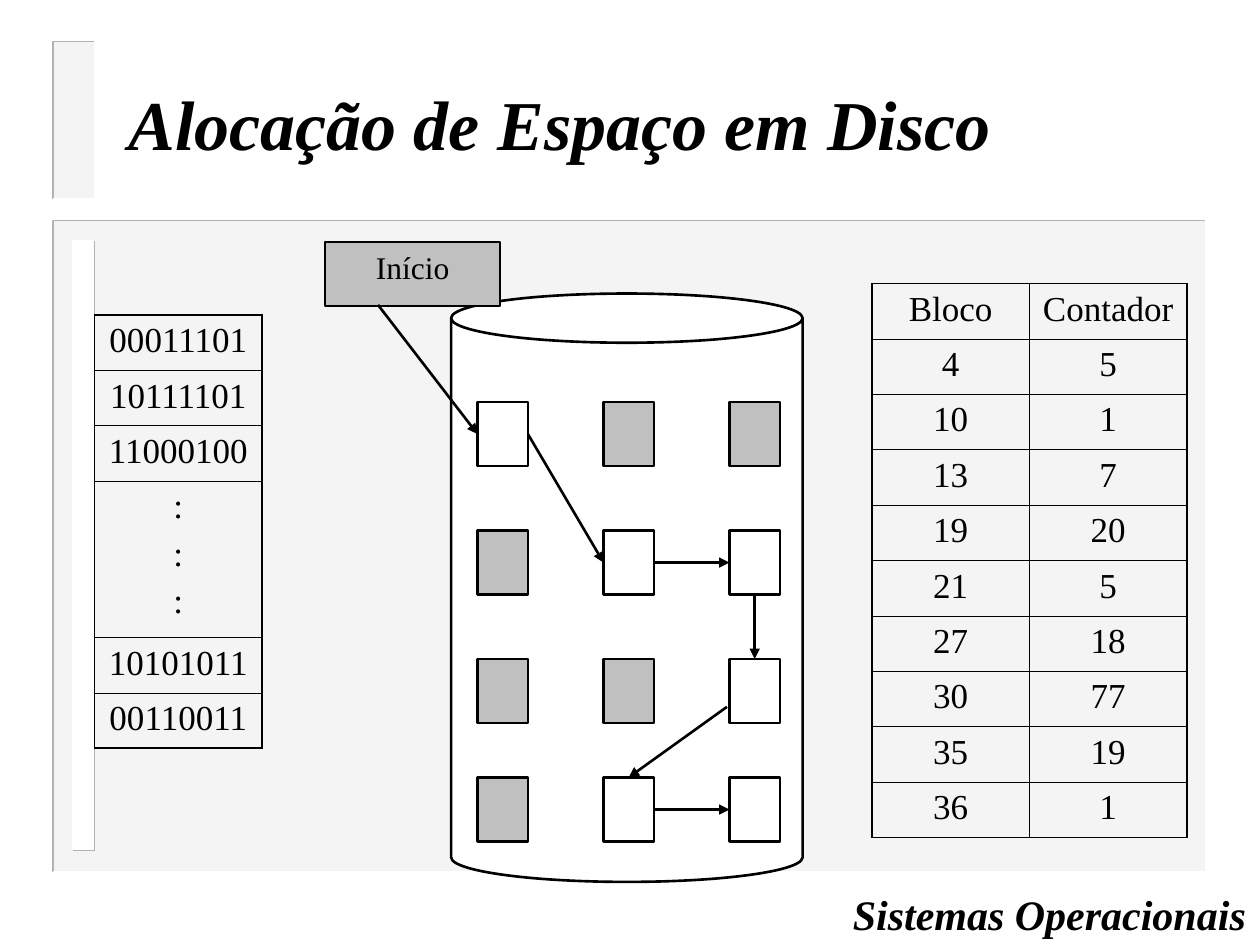
import lxml.etree
import pptx
import pptx.util
import pptx.dml.color
import pptx.enum.shapes
import pptx.enum.text
import pptx.oxml.ns

Inches = pptx.util.Inches
Pt = pptx.util.Pt
SHAPES = pptx.enum.shapes.MSO_SHAPE
ALIGN = pptx.enum.text.PP_ALIGN
ANCHOR = pptx.enum.text.MSO_ANCHOR
qn = pptx.oxml.ns.qn

# Content
TITLE = "Alocação de Espaço em Disco"
FOOTER = "Sistemas Operacionais"
START = "Início"
BITMAP = [["00011101"], ["10111101"], ["11000100"], [":\n:\n:"],
          ["10101011"], ["00110011"]]
COUNTERS = [["Bloco", "Contador"], ["4", "5"], ["10", "1"], ["13", "7"],
            ["19", "20"], ["21", "5"], ["27", "18"], ["30", "77"],
            ["35", "19"], ["36", "1"]]
FREE_BLOCKS = {(0, 0), (1, 1), (1, 2), (2, 2), (3, 1), (3, 2)}
TOP, LEFT, BOTTOM, RIGHT = range(4)
# Each end is (row, column, side) of a block, or a point (x, y)
LINKS = [
    ((3, 2.42), (0, 0, LEFT)),
    ((0, 0, RIGHT), (1, 1, LEFT)),
    ((1, 1, RIGHT), (1, 2, LEFT)),
    ((1, 2, BOTTOM), (2, 2, TOP)),
    ((5.77, 5.61), (3, 1, TOP)),
    ((3, 1, RIGHT), (3, 2, LEFT)),
]

# Layout and format
FONT = "Times New Roman"
COLOURS = {"ink": "000000", "paper": "FFFFFF", "panel": "EAEAEA",
           "edge": "B2B2B2", "used": "C0C0C0"}
BLOCK_X, BLOCK_STEP = 3.79, 1.0
BLOCK_ROWS = [3.19, 4.21, 5.23, 6.17]
BLOCK_W, BLOCK_H = 0.4, 0.51
ROW_H = 0.44
OUTER, INNER = 1.08, 0.45
# Panels: box, fill, opacity %, top-left edge colour, bottom-right edge colour
PANELS = [
    ((0.42, 1.75, 9.15, 5.17), "panel", 50, "edge", "paper"),
    ((0.58, 1.91, 0.17, 4.84), "paper", 100, "paper", "edge"),
    ((0.42, 0.33, 0.33, 1.25), "panel", 50, "edge", "paper"),
]


def rgb(name):
    return pptx.dml.color.RGBColor.from_string(COLOURS[name])


def write(frame, text, size=20, bold=False, align=ALIGN.LEFT, before=0,
          anchor=ANCHOR.TOP, wrap=True):
    frame.word_wrap = wrap
    frame.vertical_anchor = anchor
    for number, line in enumerate(text.split("\n")):
        paragraph = frame.paragraphs[0] if number == 0 else frame.add_paragraph()
        paragraph.alignment = align
        paragraph.space_before = Pt(before)
        run = paragraph.add_run()
        run.text = line
        run.font.name = FONT
        run.font.size = Pt(size)
        run.font.bold = run.font.italic = bold
        run.font.color.rgb = rgb("ink")


def add_box(slide, kind, box, fill, line="ink"):
    shape = slide.shapes.add_shape(kind, *map(Inches, box))
    shape.shadow.inherit = False
    shape.fill.solid()
    shape.fill.fore_color.rgb = rgb(fill)
    if line:
        shape.line.color.rgb = rgb(line)
        shape.line.width = Pt(1.5)
    else:
        shape.line.fill.background()
    return shape


def add_panel(slide, box, fill, opacity, top_left, bottom_right):
    panel = add_box(slide, SHAPES.RECTANGLE, box, fill, line=None)
    if opacity < 100:
        colour = panel.fill._xPr.find(".//" + qn("a:srgbClr"))
        lxml.etree.SubElement(colour, qn("a:alpha"), val=str(opacity * 1000))
    x, y, w, h = box
    for corner, edge in (((x, y), top_left), ((x + w, y + h), bottom_right)):
        points = [tuple(map(Inches, p)) for p in ((x + w, y), corner, (x, y + h))]
        builder = slide.shapes.build_freeform(*points[0])
        builder.add_line_segments(points[1:], close=False)
        bevel = builder.convert_to_shape()
        bevel.shadow.inherit = False
        bevel.fill.background()
        bevel.line.color.rgb = rgb(edge)
        bevel.line.width = Pt(1)


def set_border(cell, side, width):
    border = lxml.etree.SubElement(cell._tc.get_or_add_tcPr(), qn("a:ln" + side),
                                   w=str(Pt(width)))
    fill = lxml.etree.SubElement(border, qn("a:solidFill"))
    lxml.etree.SubElement(fill, qn("a:srgbClr"), val=COLOURS["ink"])


def add_grid(slide, rows, left, top, column_width, heights):
    last_row, last_col = len(rows) - 1, len(rows[0]) - 1
    table = slide.shapes.add_table(
        len(rows), len(rows[0]), Inches(left), Inches(top),
        Inches(column_width * len(rows[0])), Inches(sum(heights))).table
    table.first_row = table.horz_banding = False
    for column in table.columns:
        column.width = Inches(column_width)
    for r, values in enumerate(rows):
        table.rows[r].height = Inches(heights[r])
        for c, value in enumerate(values):
            cell = table.cell(r, c)
            write(cell.text_frame, value, align=ALIGN.CENTER, before=5)
            outer_sides = {"L": c == 0, "R": c == last_col,
                           "T": r == 0, "B": r == last_row}
            for side, is_outer in outer_sides.items():
                set_border(cell, side, OUTER if is_outer else INNER)
            cell.fill.background()


def add_arrow(slide, blocks, start, end):
    def position(place):
        if len(place) == 2:
            return Inches(place[0]), Inches(place[1])
        block = blocks[place[:2]]
        dx, dy = {TOP: (0.5, 0), LEFT: (0, 0.5), BOTTOM: (0.5, 1),
                  RIGHT: (1, 0.5)}[place[2]]
        return (int(block.left + dx * block.width),
                int(block.top + dy * block.height))

    arrow = slide.shapes.add_connector(pptx.enum.shapes.MSO_CONNECTOR.STRAIGHT,
                                       *position(start), *position(end))
    if len(start) == 3:
        arrow.begin_connect(blocks[start[:2]], start[2])
    if len(end) == 3:
        arrow.end_connect(blocks[end[:2]], end[2])
    arrow.line.color.rgb = rgb("ink")
    arrow.line.width = Pt(1.5)
    lxml.etree.SubElement(arrow.line._get_or_add_ln(), qn("a:tailEnd"),
                          type="triangle")
    lxml.etree.SubElement(arrow._element.spPr, qn("a:effectLst"))


def main():
    deck = pptx.Presentation()
    deck.slide_width, deck.slide_height = Inches(10), Inches(7.5)
    slide = deck.slides.add_slide(deck.slide_layouts[5])

    # Background panels
    for panel in PANELS:
        add_panel(slide, *panel)

    # Title and footer
    title = slide.shapes.title
    title.left, title.top, title.width, title.height = map(
        Inches, (0.92, 0.37, 8.5, 1.21))
    write(title.text_frame, TITLE, size=40, bold=True, anchor=ANCHOR.MIDDLE)
    footer = slide.shapes.add_textbox(*map(Inches, (6.67, 7, 3.32, 0.5)))
    write(footer.text_frame, FOOTER, size=24, bold=True, wrap=False)

    # Bitmap and counter tables
    add_grid(slide, BITMAP, 0.75, 2.5, 1.33,
             [1.24 if "\n" in row[0] else ROW_H for row in BITMAP])
    add_grid(slide, COUNTERS, 6.92, 2.25, 1.25, [ROW_H] * len(COUNTERS))

    # Disk with its blocks
    disk = add_box(slide, SHAPES.CAN, (3.58, 2.33, 2.79, 4.67), "paper")
    disk.adjustments[0] = 0.14
    blocks = {}
    for row, y in enumerate(BLOCK_ROWS):
        for col in range(3):
            fill = "paper" if (row, col) in FREE_BLOCKS else "used"
            box = (BLOCK_X + col * BLOCK_STEP, y, BLOCK_W, BLOCK_H)
            blocks[row, col] = add_box(slide, SHAPES.RECTANGLE, box, fill)

    # Linked list of free blocks
    start = add_box(slide, SHAPES.RECTANGLE, (2.58, 1.92, 1.39, 0.51), "used")
    write(start.text_frame, START, size=18, align=ALIGN.CENTER)
    for link in LINKS:
        add_arrow(slide, blocks, *link)

    deck.save("out.pptx")


if __name__ == "__main__":
    main()
